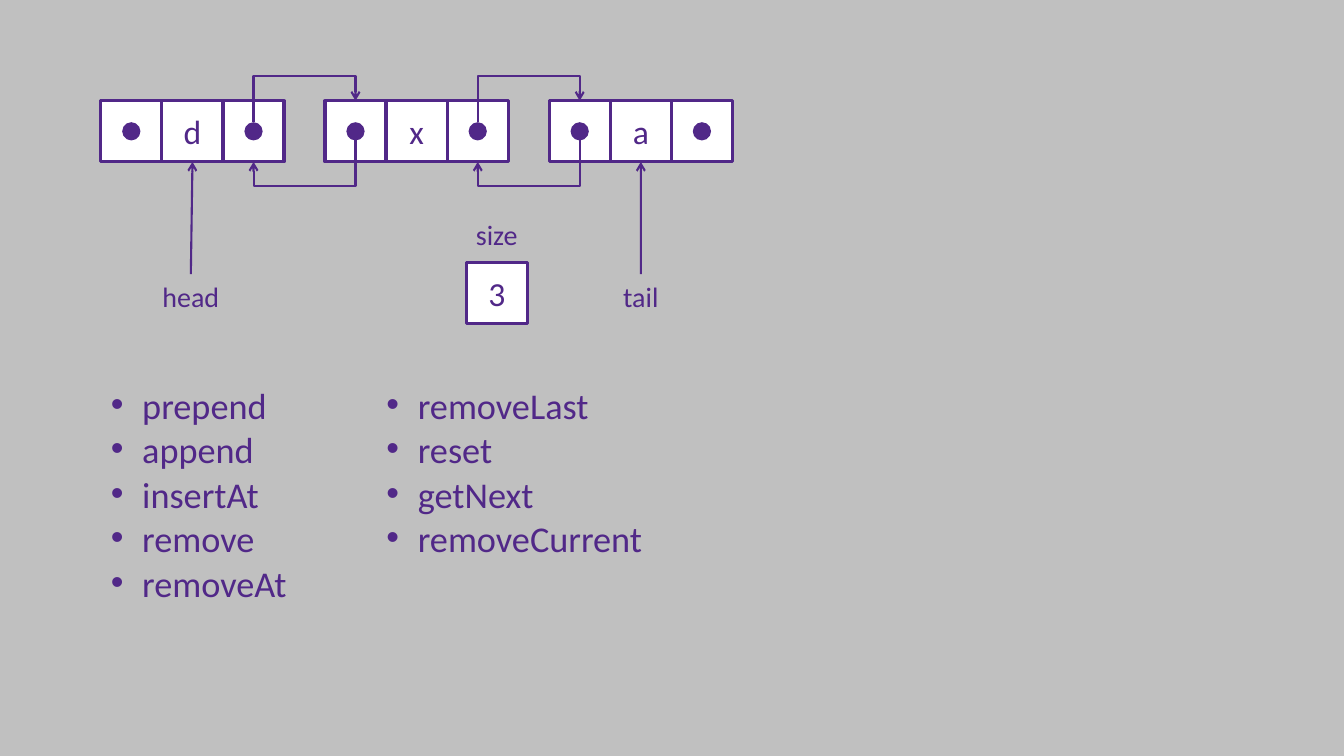
from lxml import etree
from pptx import Presentation
from pptx.dml.color import RGBColor
from pptx.enum import shapes, text
from pptx.oxml.ns import qn
from pptx.util import Cm, Pt

# Content
NODES = ["d", "x", "a"]
POINTERS = [("head", 0, 4.81), ("tail", 2, 16.15)]  # label, node, label centre
SIZE_LABEL, SIZE_VALUE = "size", "3"
METHODS = ["prepend", "append", "insertAt", "remove", "removeAt",
           "removeLast", "reset", "getNext", "removeCurrent"]

# Style and layout, in centimetres
COLORS = {"back": "C0C0C0", "ink": "512888", "cell": "FFFFFF"}
FONT = "Calibri"
LEFT, TOP = 2.54, 2.54
CELL, DOT = 1.54, 0.46
NODE_STEP = 5.65
LABEL_H = 1.11
LABEL_TOP = 6.91
LINK_BEND = 2.144
INDENT = 0.79


def rgb(name):
    return RGBColor.from_string(COLORS[name])


def add_run(p, words, size):
    r = p.add_run()
    r.text = words
    r.font.name = FONT
    r.font.size = Pt(size)
    r.font.color.rgb = rgb("ink")


def add_cell(x, y, words=""):
    sp = parts.add_shape(shapes.MSO_SHAPE.RECTANGLE, Cm(x), Cm(y), Cm(CELL), Cm(CELL))
    sp.shadow.inherit = False
    sp.fill.solid()
    sp.fill.fore_color.rgb = rgb("cell")
    sp.line.color.rgb = rgb("ink")
    sp.line.width = Pt(2.25)
    if words:
        sp.text_frame.vertical_anchor = text.MSO_ANCHOR.MIDDLE
        p = sp.text_frame.paragraphs[0]
        p.alignment = text.PP_ALIGN.CENTER
        add_run(p, words, 24)
    return sp


def add_dot(cx, cy):
    sp = parts.add_shape(shapes.MSO_SHAPE.OVAL, Cm(cx - DOT / 2), Cm(cy - DOT / 2), Cm(DOT), Cm(DOT))
    sp.shadow.inherit = False
    sp.fill.solid()
    sp.fill.fore_color.rgb = rgb("ink")
    sp.line.fill.background()


def add_label(words, cx, y, width):
    sp = parts.add_textbox(Cm(cx - width / 2), Cm(y), Cm(width), Cm(LABEL_H))
    tf = sp.text_frame
    tf.word_wrap = False
    tf.auto_size = text.MSO_AUTO_SIZE.SHAPE_TO_FIT_TEXT
    p = tf.paragraphs[0]
    p.alignment = text.PP_ALIGN.CENTER
    add_run(p, words, 20)
    return sp


def add_arrow(kind, x1, y1, x2, y2):
    line = parts.add_connector(kind, Cm(x1), Cm(y1), Cm(x2), Cm(y2))
    line.line.color.rgb = rgb("ink")
    line.line.width = Pt(1.5)
    props = line._element.spPr
    etree.SubElement(props.find(qn("a:ln")), qn("a:tailEnd"), type="arrow")
    etree.SubElement(props, qn("a:effectLst"))
    return line


def add_link(x1, y1, x2, y2):
    """Elbow arrow turned by 90 degrees, so that it leaves and arrives vertically."""
    cx, cy = (x1 + x2) / 2, (y1 + y2) / 2
    dx, dy = (x2 - x1) / 2, (y2 - y1) / 2
    line = add_arrow(shapes.MSO_CONNECTOR.ELBOW, cx - dy, cy + dx, cx + dy, cy - dx)
    props = line._element.spPr
    props.find(qn("a:xfrm")).set("rot", "5400000")
    guides = props.find(qn("a:prstGeom")).get_or_add_avLst()
    etree.SubElement(guides, qn("a:gd"), name="adj1", fmla=f"val {round(LINK_BEND * 100000)}")


prs = Presentation()
prs.slide_width, prs.slide_height = Cm(33.87), Cm(19.05)
s = prs.slides.add_slide(prs.slide_layouts[1])
s.background.fill.solid()
s.background.fill.fore_color.rgb = rgb("back")
title = s.shapes.title._element
title.getparent().remove(title)
parts = s.shapes.add_group_shape().shapes

# Nodes: previous pointer, value, next pointer
middle = TOP + CELL / 2
node_lefts = [LEFT + i * NODE_STEP for i in range(len(NODES))]
value_cells = []
for x, value in zip(node_lefts, NODES):
    for column in (0, 2):
        add_cell(x + column * CELL, TOP)
        add_dot(x + (column + 0.5) * CELL, middle)
    value_cells.append(add_cell(x + CELL, TOP, value))

# Links between neighbouring nodes
for x, following in zip(node_lefts, node_lefts[1:]):
    next_x, prev_x = x + 2.5 * CELL, following + CELL / 2
    add_link(next_x, middle - DOT / 2, prev_x, TOP)
    add_link(prev_x, middle + DOT / 2, next_x, TOP + CELL)

# Head and tail pointers
for (words, node, cx), width in zip(POINTERS, (1.96, 1.42)):
    label = add_label(words, cx, LABEL_TOP, width)
    arrow = add_arrow(shapes.MSO_CONNECTOR.STRAIGHT, cx, LABEL_TOP, cx, TOP + CELL)
    arrow.begin_connect(label, 0)
    arrow.end_connect(value_cells[node], 2)

# Size counter
size_cell_left, size_cell_top = 11.75, 6.62
add_cell(size_cell_left, size_cell_top, SIZE_VALUE)
add_label(SIZE_LABEL, size_cell_left + CELL / 2, 5.36, 1.57)

# Method list in two columns
body = s.placeholders[1]
body.left, body.top, body.width, body.height = Cm(LEFT), Cm(9.83), Cm(14.4), Cm(5.82)
tf = body.text_frame
tf.auto_size = text.MSO_AUTO_SIZE.NONE
tf._txBody.bodyPr.set("numCol", "2")
for i, method in enumerate(METHODS):
    p = tf.add_paragraph() if i else tf.paragraphs[0]
    props = p._p.get_or_add_pPr()
    props.set("marL", str(Cm(INDENT)))
    props.set("indent", str(-Cm(INDENT)))
    etree.SubElement(props, qn("a:buFont"), typeface="Arial")
    etree.SubElement(props, qn("a:buChar"), char="•")
    p.line_spacing = 0.7
    p.space_before = Pt(10 if i else 0)
    add_run(p, method, 25.9)

prs.save("out.pptx")
